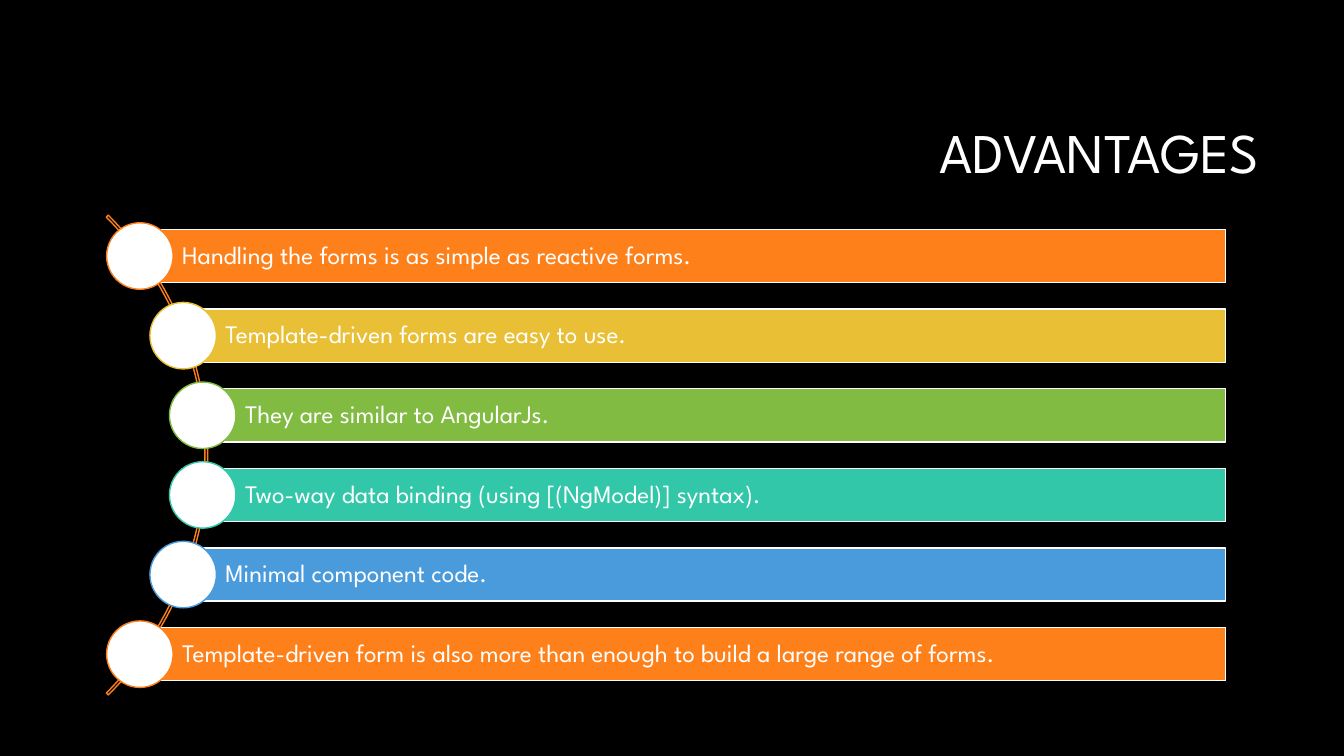
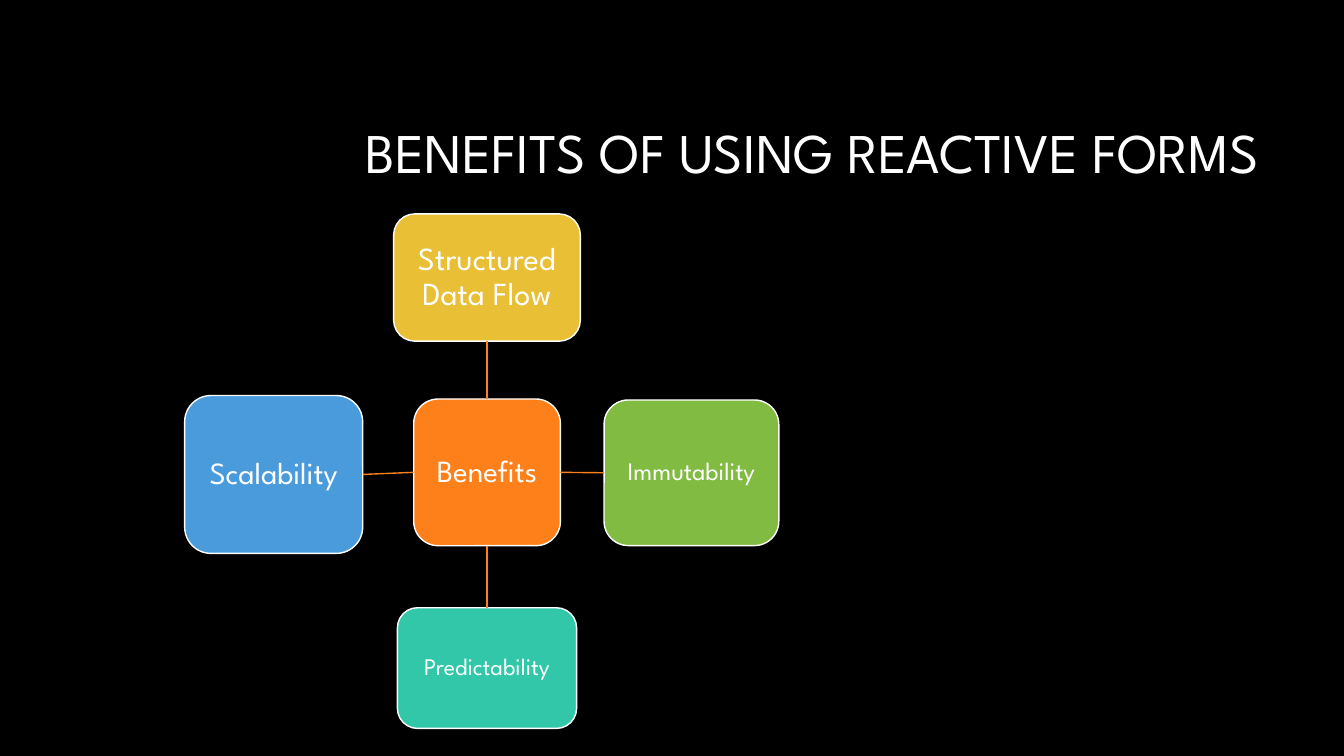
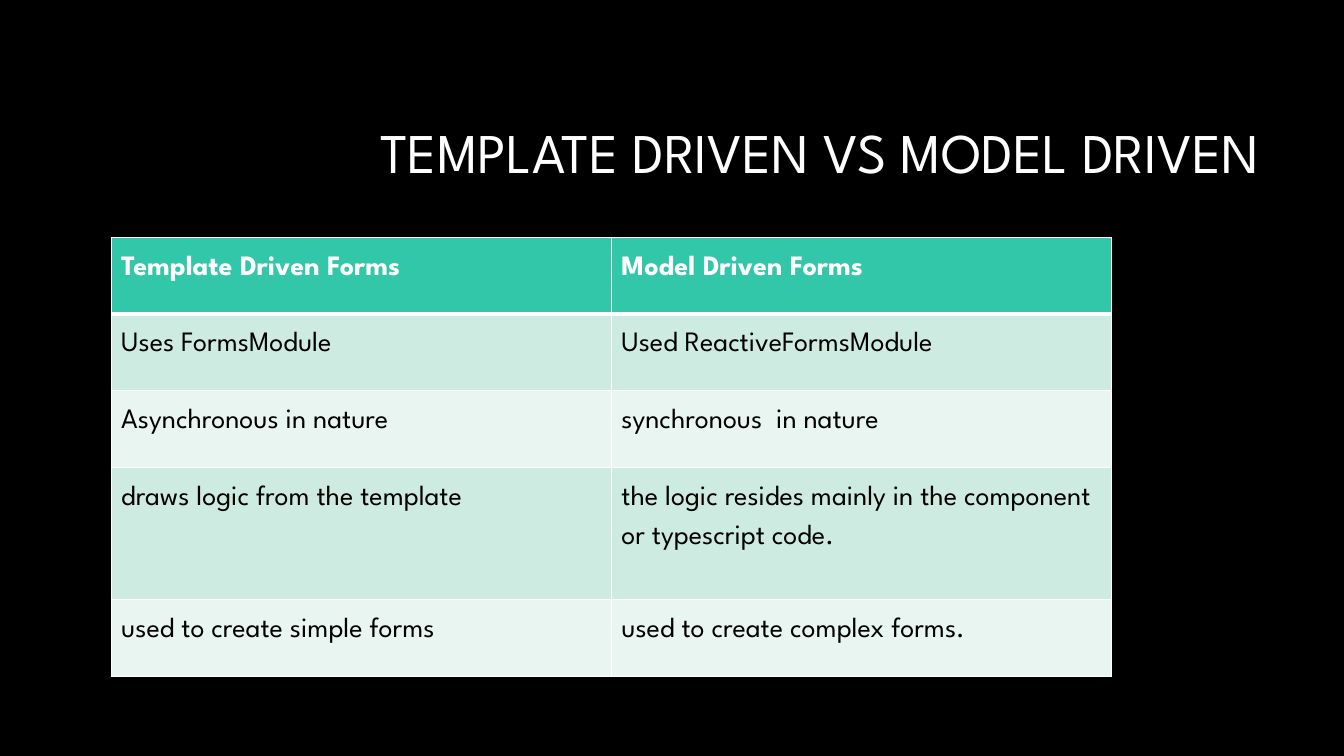
"""Build three slides on template-driven and reactive forms."""
import math

import pptx
import pptx.dml.color
import pptx.enum.shapes
import pptx.enum.text
import pptx.oxml
import pptx.oxml.ns
import pptx.util
from lxml import etree

Pt = pptx.util.Pt
SHAPE = pptx.enum.shapes.MSO_SHAPE
ALIGN = pptx.enum.text.PP_ALIGN
ANCHOR = pptx.enum.text.MSO_ANCHOR

FONT = "League Spartan"
BLACK, WHITE = "000000", "FFFFFF"
ORANGE, YELLOW, GREEN, TEAL, BLUE = "FE801A", "E9BF35", "81BB42", "32C7A9", "4A9BDC"
MINT, PALE_MINT = "CEEBE2", "E8F5F1"

ADVANTAGES = [
    ("Handling the forms is as simple as reactive forms.", ORANGE),
    ("Template-driven forms are easy to use.", YELLOW),
    ("They are similar to AngularJs.", GREEN),
    ("Two-way data binding (using [(NgModel)] syntax).", TEAL),
    ("Minimal component code.", BLUE),
    ("Template-driven form is also more than enough to build a large range of forms.", ORANGE),
]
ARC_X, ARC_Y, ARC_SIZE = -94, 325.1, 484.6
BAR_RADIUS, BAR_RIGHT, BAR_HEIGHT, BAR_PITCH = 240.5, 875.5, 38, 56.88
DOT_SIZE = 47.5

HUB = ("Benefits", ORANGE, 22, (295.5, 285, 104.8, 104.8))
BENEFITS = [
    ("Structured Data Flow", YELLOW, 23, (281.2, 152.8, 133.4, 90.9), 0, 2),
    ("Immutability", GREEN, 18, (431.5, 285.7, 124.8, 104), 3, 1),
    ("Predictability", TEAL, 17, (283.9, 434.1, 128, 86.2), 2, 0),
    ("Scalability", BLUE, 22, (131.9, 282.5, 127.2, 112.8), 1, 3),
]

COMPARISON = [
    ("Template Driven Forms", "Model Driven Forms"),
    ("Uses FormsModule", "Used ReactiveFormsModule"),
    ("Asynchronous in nature", "synchronous  in nature"),
    ("draws logic from the template",
     "the logic resides mainly in the component or typescript code."),
    ("used to create simple forms", "used to create complex forms."),
]
TABLE_LEFT, TABLE_TOP, COLUMN_WIDTH = 79.4, 169.6, 357.3
ROW_HEIGHTS = [54.8, 54.8, 54.8, 94.4, 54.8]


def color(value):
    return pptx.dml.color.RGBColor.from_string(value)


def write(frame, text, size, ink=WHITE, align=ALIGN.LEFT, spacing=0.9, bold=False):
    paragraph = frame.paragraphs[0]
    paragraph.alignment = align
    paragraph.line_spacing = spacing
    run = paragraph.add_run()
    run.text = text
    run.font.name = FONT
    run.font.size = Pt(size)
    run.font.bold = bold
    run.font.color.rgb = color(ink)


def set_frame(frame, insets):
    frame.word_wrap = True
    frame.vertical_anchor = ANCHOR.MIDDLE
    frame.margin_left, frame.margin_top, frame.margin_right, frame.margin_bottom = map(Pt, insets)


def add_shape(slide, kind, box, fill, line):
    shape = slide.shapes.add_shape(kind, *map(Pt, box))
    shape.shadow.inherit = False
    if fill:
        shape.fill.solid()
        shape.fill.fore_color.rgb = color(fill)
    else:
        shape.fill.background()
    shape.line.color.rgb = color(line)
    shape.line.width = Pt(1)
    return shape


def add_slide(presentation, title):
    slide = presentation.slides.add_slide(presentation.slide_layouts[6])
    frame = slide.shapes.add_textbox(Pt(150), Pt(60.5), Pt(756.4), Pt(101.5)).text_frame
    set_frame(frame, (7.2, 3.6, 7.2, 3.6))
    write(frame, title, 40, align=ALIGN.RIGHT)
    return slide


def add_advantages(presentation):
    slide = add_slide(presentation, "ADVANTAGES")
    corner = (ARC_X - ARC_SIZE / 2, ARC_Y - ARC_SIZE / 2)
    arc = add_shape(slide, SHAPE.BLOCK_ARC, (*corner, ARC_SIZE, ARC_SIZE), None, ORANGE)
    for index, value in enumerate((189, 27, 0.004)):
        arc.adjustments[index] = value
    for index, (text, fill) in enumerate(ADVANTAGES):
        offset = (index - (len(ADVANTAGES) - 1) / 2) * BAR_PITCH
        middle = ARC_Y + offset
        left = ARC_X + math.sqrt(BAR_RADIUS ** 2 - offset ** 2)
        bar_box = (left, middle - BAR_HEIGHT / 2, BAR_RIGHT - left, BAR_HEIGHT)
        bar = add_shape(slide, SHAPE.RECTANGLE, bar_box, fill, WHITE)
        set_frame(bar.text_frame, (30.2, 3.6, 3.6, 3.6))
        write(bar.text_frame, text, 18)
        dot_box = (left - DOT_SIZE / 2, middle - DOT_SIZE / 2, DOT_SIZE, DOT_SIZE)
        add_shape(slide, SHAPE.OVAL, dot_box, WHITE, fill)


def add_node(slide, text, fill, size, box):
    node = add_shape(slide, SHAPE.ROUNDED_RECTANGLE, box, fill, WHITE)
    set_frame(node.text_frame, (4, 4, 4, 4))
    write(node.text_frame, text, size, align=ALIGN.CENTER)
    return node


def add_benefits(presentation):
    slide = add_slide(presentation, "BENEFITS OF USING REACTIVE FORMS")
    hub = add_node(slide, *HUB)
    for text, fill, size, box, hub_side, node_side in BENEFITS:
        node = add_node(slide, text, fill, size, box)
        connector = slide.shapes.add_connector(
            pptx.enum.shapes.MSO_CONNECTOR.STRAIGHT, 0, 0, 0, 0)
        connector.begin_connect(hub, hub_side)
        connector.end_connect(node, node_side)
        connector.line.color.rgb = color(ORANGE)
        connector.line.width = Pt(1)
        etree.SubElement(connector._element.spPr, pptx.oxml.ns.qn("a:effectLst"))


def set_borders(cell, widths):
    properties = cell._tc.get_or_add_tcPr()
    for side, width in widths.items():
        properties.append(pptx.oxml.parse_xml(
            f'<a:ln{side} {pptx.oxml.ns.nsdecls("a")} w="{Pt(width)}"><a:solidFill>'
            f'<a:srgbClr val="{WHITE}"/></a:solidFill></a:ln{side}>'))


def add_comparison(presentation):
    slide = add_slide(presentation, "TEMPLATE DRIVEN VS MODEL DRIVEN")
    columns = len(COMPARISON[0])
    box = (TABLE_LEFT, TABLE_TOP, columns * COLUMN_WIDTH, sum(ROW_HEIGHTS))
    table = slide.shapes.add_table(len(COMPARISON), columns, *map(Pt, box)).table
    table.horz_banding = False
    for column in table.columns:
        column.width = Pt(COLUMN_WIDTH)
    for index, (texts, height) in enumerate(zip(COMPARISON, ROW_HEIGHTS)):
        table.rows[index].height = Pt(height)
        header = index == 0
        fill = TEAL if header else (PALE_MINT, MINT)[index % 2]
        widths = {"L": 1, "R": 1, "T": 3 if index == 1 else 1, "B": 3 if header else 1}
        for cell, text in zip(table.rows[index].cells, texts):
            set_borders(cell, widths)
            cell.fill.solid()
            cell.fill.fore_color.rgb = color(fill)
            write(cell.text_frame, text, 20, WHITE if header else BLACK,
                  spacing=1.5, bold=header)


def main():
    presentation = pptx.Presentation()
    presentation.slide_width, presentation.slide_height = Pt(960), Pt(540)
    background = presentation.slide_master.background.fill
    background.solid()
    background.fore_color.rgb = color(BLACK)
    add_advantages(presentation)
    add_benefits(presentation)
    add_comparison(presentation)
    presentation.save("out.pptx")


if __name__ == "__main__":
    main()
